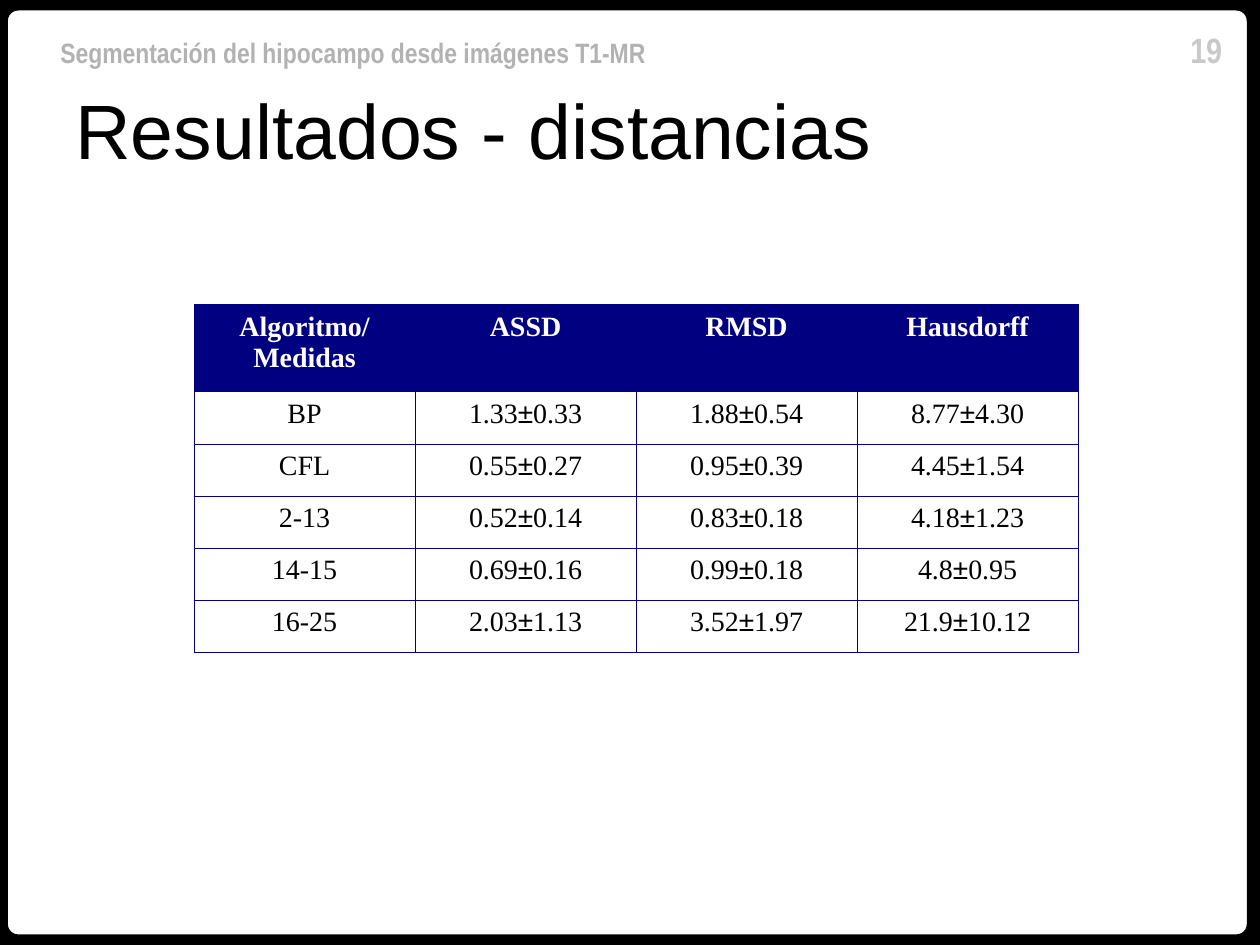
from pptx import Presentation
from pptx.dml.color import RGBColor
from pptx.enum.shapes import MSO_SHAPE
from pptx.enum.text import PP_ALIGN
from pptx.oxml import parse_xml
from pptx.oxml.ns import nsdecls
from pptx.util import Pt

ROUNDED = MSO_SHAPE.ROUNDED_RECTANGLE
LEFT, CENTER, RIGHT = PP_ALIGN.LEFT, PP_ALIGN.CENTER, PP_ALIGN.RIGHT

BLACK = RGBColor(0x00, 0x00, 0x00)
WHITE = RGBColor(0xFF, 0xFF, 0xFF)
NAVY = RGBColor(0x00, 0x00, 0x80)
GRAY = RGBColor(0xB2, 0xB2, 0xB2)
LIGHT_GRAY = RGBColor(0xC9, 0xC9, 0xC9)

PAGE_NUMBER = "19"
RUNNING_TITLE = "Segmentación del hipocampo desde imágenes T1-MR"
TITLE = "Resultados - distancias"
DISTANCES = [
    ("Algoritmo/\nMedidas", "ASSD", "RMSD", "Hausdorff"),
    ("BP", "1.33±0.33", "1.88±0.54", "8.77±4.30"),
    ("CFL", "0.55±0.27", "0.95±0.39", "4.45±1.54"),
    ("2-13", "0.52±0.14", "0.83±0.18", "4.18±1.23"),
    ("14-15", "0.69±0.16", "0.99±0.18", "4.8±0.95"),
    ("16-25", "2.03±1.13", "3.52±1.97", "21.9±10.12"),
]

TABLE_LEFT, TABLE_TOP = 110.9, 174.2
COLUMN_WIDTH, HEADER_HEIGHT, ROW_HEIGHT = 126.3, 49.7, 29.8
BORDER_WIDTH = 0.45


def style(para, font_name, size, color, bold, align):
    para.alignment = align
    font = para.font
    font.name, font.size, font.bold = font_name, Pt(size), bold
    font.color.rgb = color


def add_text(page, text, bounds, font_name, size, color, bold=False, align=LEFT, inset_top=3.6):
    box = page.shapes.add_textbox(*map(Pt, bounds))
    frame = box.text_frame
    frame.word_wrap = True
    frame.margin_top = Pt(inset_top)
    frame.text = text
    style(frame.paragraphs[0], font_name, size, color, bold, align)


def add_frame(page):
    frame = page.shapes.add_shape(ROUNDED, Pt(-1.5), Pt(0), Pt(720), Pt(540))
    frame.adjustments[0] = 0.022
    frame.shadow.inherit = False
    frame.fill.background()
    frame.line.color.rgb = BLACK
    frame.line.width = Pt(12)


def add_borders(cell):
    properties = cell._tc.get_or_add_tcPr()
    for side in ("lnL", "lnR", "lnT", "lnB"):
        properties.append(parse_xml(
            f'<a:{side} {nsdecls("a")} w="{Pt(BORDER_WIDTH)}"><a:solidFill>'
            f'<a:srgbClr val="{NAVY}"/></a:solidFill></a:{side}>'))


def fill_cell(cell, text, is_header):
    add_borders(cell)
    if is_header:
        cell.fill.solid()
        cell.fill.fore_color.rgb = NAVY
    else:
        cell.fill.background()
    frame = cell.text_frame
    for index, line in enumerate(text.split("\n")):
        para = frame.add_paragraph() if index else frame.paragraphs[0]
        style(para, "Times New Roman", 16, WHITE if is_header else BLACK, is_header, CENTER)
        mean, sign, deviation = line.partition("±")
        for part in filter(None, (mean, sign, deviation)):
            span = para.add_run()
            span.text = part
            if part == "±":
                span.font.name = "Arial"


def add_distances(page):
    row_count, column_count = len(DISTANCES), len(DISTANCES[0])
    height = HEADER_HEIGHT + ROW_HEIGHT * (row_count - 1)
    table = page.shapes.add_table(
        row_count, column_count, Pt(TABLE_LEFT), Pt(TABLE_TOP),
        Pt(COLUMN_WIDTH * column_count), Pt(height)).table
    table.first_row = table.horz_banding = False
    for column in table.columns:
        column.width = Pt(COLUMN_WIDTH)
    for r, values in enumerate(DISTANCES):
        table.rows[r].height = Pt(ROW_HEIGHT if r else HEADER_HEIGHT)
        for c, text in enumerate(values):
            fill_cell(table.cell(r, c), text, r == 0)


def main():
    deck = Presentation()
    deck.slide_width, deck.slide_height = Pt(720), Pt(540)
    page = deck.slides.add_slide(deck.slide_layouts[6])
    page.background.fill.solid()
    page.background.fill.fore_color.rgb = WHITE
    add_text(page, PAGE_NUMBER, (654.5, 13, 51, 31.5), "Arial Narrow", 20, LIGHT_GRAY, True, RIGHT)
    add_frame(page)
    add_text(page, RUNNING_TITLE, (27.4, 16.5, 488, 26.5), "Arial Narrow", 16, GRAY, True)
    add_text(page, TITLE, (36, 39, 648, 90), "Arial", 44, BLACK, inset_top=8)
    add_distances(page)
    deck.save("out.pptx")


if __name__ == "__main__":
    main()
